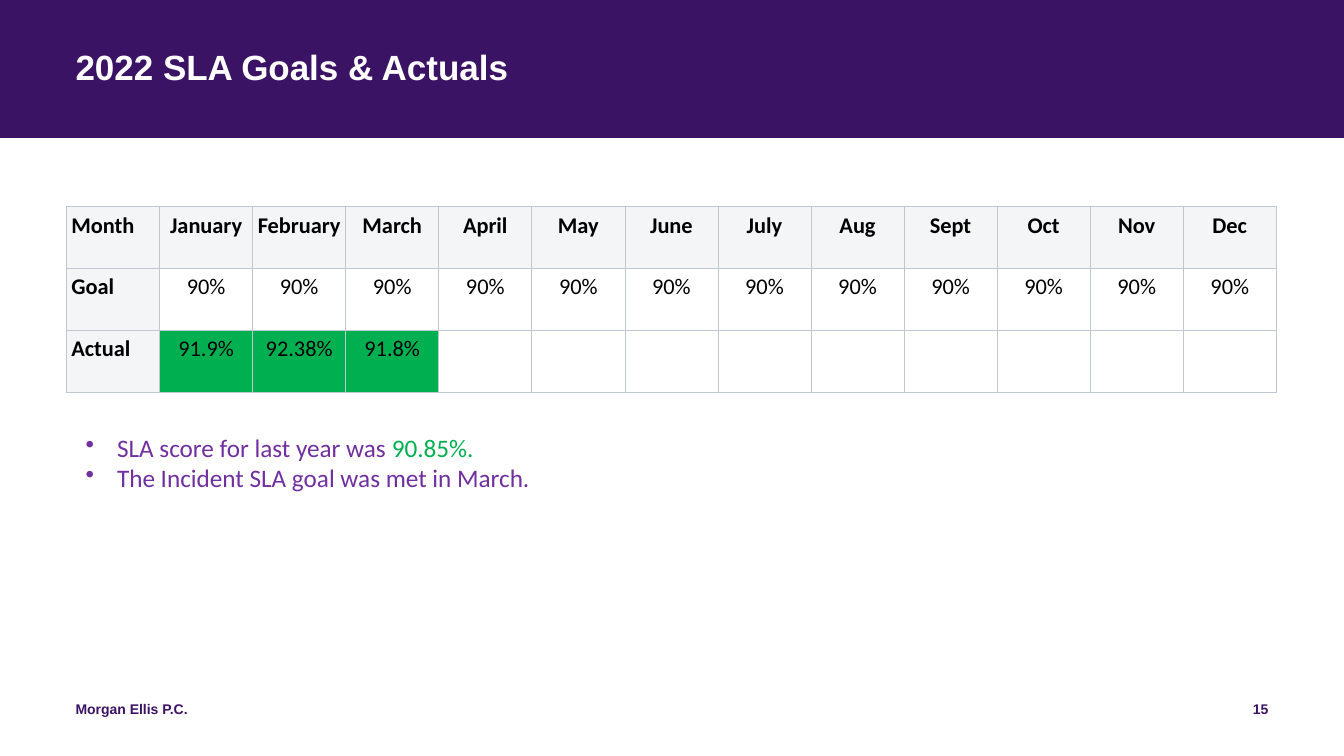
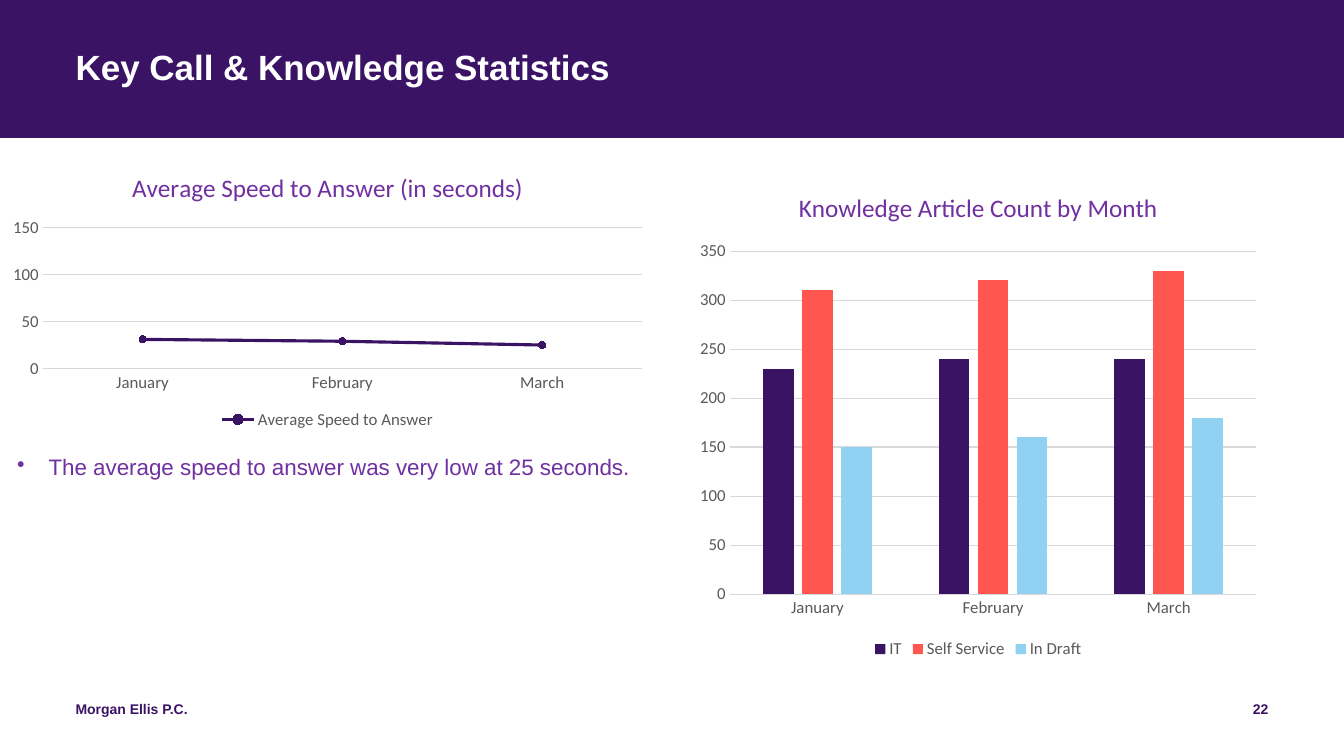
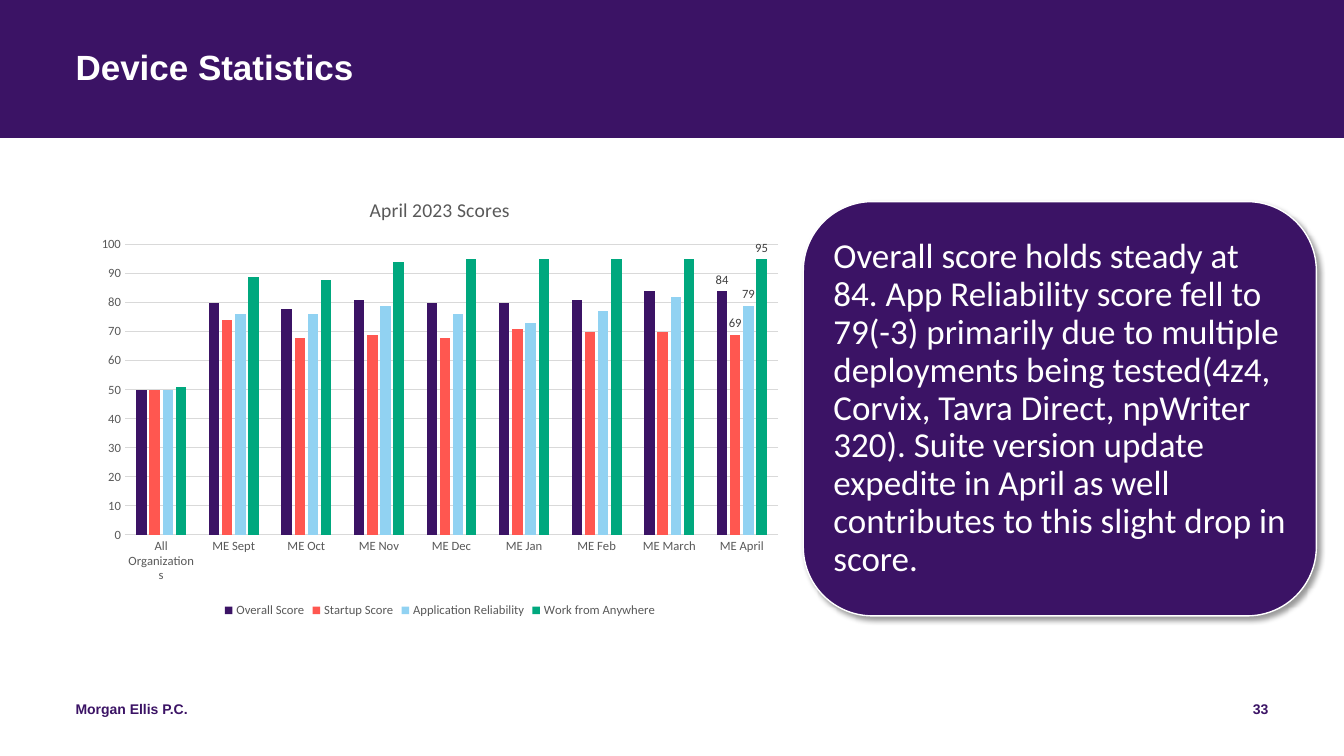
from dataclasses import dataclass
from typing import Any

from lxml.etree import SubElement
from pptx import Presentation
from pptx.chart.data import CategoryChartData
from pptx.dml.color import RGBColor as RGB
from pptx.enum.chart import XL_CHART_TYPE as CT, XL_LABEL_POSITION as LP
from pptx.enum.chart import XL_LEGEND_POSITION as LEG, XL_MARKER_STYLE as MK, XL_TICK_MARK as TM
from pptx.enum.shapes import MSO_SHAPE as SHAPE
from pptx.enum.text import MSO_ANCHOR as ANCHOR, MSO_AUTO_SIZE as FIT, PP_ALIGN as AL
from pptx.oxml.ns import qn
from pptx.util import Pt


@dataclass(frozen=True)
class Theme:
    purple: str = "3B1365"
    violet: str = "7030A0"
    green: str = "00B050"
    coral: str = "FF5750"
    sky: str = "91D2F2"
    teal: str = "00A87E"
    white: str = "FFFFFF"
    black: str = "000000"
    gray: str = "595959"
    label: str = "404040"
    grid: str = "D9D9D9"
    header: str = "F4F5F7"
    border: str = "C1C7D0"
    head_font: str = "Arial"
    body_font: str = "Calibri"
    title: float = 25
    body: float = 18
    cell: float = 16
    footer: float = 10


T = Theme()


@dataclass(frozen=True)
class Box:
    x: float
    y: float
    w: float
    h: float

    def pts(self) -> tuple:
        return Pt(self.x), Pt(self.y), Pt(self.w), Pt(self.h)


@dataclass(frozen=True)
class Series:
    name: str
    vals: tuple
    color: str


@dataclass(frozen=True)
class ChartSpec:
    box: Box
    kind: Any
    title: str
    title_size: float
    title_color: str
    text_size: float
    cats: tuple
    series: tuple
    top: float
    step: float
    label_last: bool = False


PAGE_W, PAGE_H = 960, 540
BAND = Box(0, 0, PAGE_W, 98.6)
TITLE = Box(54, 36, 852, 58.3)
OWNER = Box(54, 500.4, 324, 28.8)
NUMBER = Box(690, 500.4, 216, 28.8)


def set_all(obj: Any, values: dict) -> None:
    for name, value in values.items():
        setattr(obj, name, value)


def style_font(font: Any, size: float, color: str, name: str = T.body_font, bold: bool = False) -> None:
    set_all(font, {"size": Pt(size), "name": name, "bold": bold})
    font.color.rgb = RGB.from_string(color)


def add_run(p: Any, text: str, size: float, color: str, name: str = T.body_font, bold: bool = False) -> None:
    r = p.add_run()
    r.text = text
    style_font(r.font, size, color, name, bold)


def paint(fill: Any, color: str) -> None:
    fill.solid()
    fill.fore_color.rgb = RGB.from_string(color)


def set_frame(tf: Any, inset_x: float = 0, inset_y: float = 0, anchor: Any = ANCHOR.TOP) -> None:
    set_all(tf, {
        "word_wrap": True, "auto_size": FIT.NONE, "vertical_anchor": anchor,
        "margin_left": Pt(inset_x), "margin_right": Pt(inset_x),
        "margin_top": Pt(inset_y), "margin_bottom": Pt(inset_y),
    })


def add_text(sld: Any, box: Box, inset_x: float = 0, inset_y: float = 0) -> Any:
    tf = sld.shapes.add_textbox(*box.pts()).text_frame
    set_frame(tf, inset_x, inset_y)
    return tf


def set_bullet(p: Any) -> None:
    pPr = p._p.get_or_add_pPr()
    pPr.set("marL", str(Pt(22.5)))
    pPr.set("indent", str(Pt(-22.5)))
    SubElement(pPr, qn("a:buChar")).set("char", "•")


def add_slide(prs: Any, title: str, number: int) -> Any:
    sld = prs.slides.add_slide(prs.slide_layouts[5])
    sp = sld.shapes.title
    set_all(sp, dict(zip(("left", "top", "width", "height"), TITLE.pts())))
    set_frame(sp.text_frame)
    p = sp.text_frame.paragraphs[0]
    set_all(p, {"alignment": AL.LEFT, "line_spacing": 0.9})
    add_run(p, title, T.title, T.white, T.head_font, True)
    for box, text, align in ((OWNER, "Morgan Ellis P.C.", AL.LEFT), (NUMBER, str(number), AL.RIGHT)):
        p = add_text(sld, box).paragraphs[0]
        p.alignment = align
        add_run(p, text, T.footer, T.purple, T.head_font, True)
    return sld


def add_layout_band(sld: Any) -> None:
    sp = sld.shapes.add_shape(SHAPE.RECTANGLE, *BAND.pts())
    sp.shadow.inherit = False
    paint(sp.fill, T.purple)
    sp.line.fill.background()
    sld.slide_layout.shapes.element.insert(2, sp.element)


def set_borders(cell: Any) -> None:
    tcPr = cell._tc.get_or_add_tcPr()
    for i, side in enumerate(("lnL", "lnR", "lnT", "lnB")):
        ln = tcPr.makeelement(qn(f"a:{side}"), {"w": str(Pt(0.5))})
        fill = SubElement(ln, qn("a:solidFill"))
        SubElement(fill, qn("a:srgbClr")).set("val", T.border)
        tcPr.insert(i, ln)


def add_sla_table(sld: Any, rows: tuple) -> None:
    n_cols = len(rows[0])
    box = Box(47.5, 147.6, 66.5 * n_cols, 44.2 * len(rows))
    tbl = sld.shapes.add_table(len(rows), n_cols, *box.pts()).table
    set_all(tbl, {"first_row": False, "horz_banding": False})
    for col in tbl.columns:
        col.width = Pt(66.5)
    for i, row in enumerate(rows):
        tbl.rows[i].height = Pt(44.2)
        for j, text in enumerate(row):
            cell = tbl.cell(i, j)
            head = i == 0 or j == 0
            met = i == 2 and text
            paint(cell.fill, T.header if head else T.green if met else T.white)
            set_all(cell, {"margin_left": Pt(3.5), "margin_right": Pt(3.5),
                           "margin_top": Pt(3.6), "margin_bottom": Pt(3.6)})
            set_borders(cell)
            if text:
                p = cell.text_frame.paragraphs[0]
                p.alignment = AL.CENTER if j else AL.LEFT
                add_run(p, text, T.cell, T.black, bold=head)


def style_axes(chart: Any, spec: ChartSpec) -> None:
    cat, val = chart.category_axis, chart.value_axis
    for axis in (cat, val):
        set_all(axis, {"major_tick_mark": TM.NONE, "minor_tick_mark": TM.NONE})
        style_font(axis.tick_labels.font, spec.text_size, T.gray)
    set_all(val, {"minimum_scale": 0, "maximum_scale": spec.top,
                  "major_unit": spec.step, "has_major_gridlines": True})
    val.format.line.fill.background()
    for line in (cat.format.line, val.major_gridlines.format.line):
        paint(line.fill, T.grid)
        line.width = Pt(0.75)


def style_series(ser: Any, item: Series, spec: ChartSpec) -> None:
    if spec.kind == CT.LINE_MARKERS:
        ser.smooth = False
        paint(ser.format.line.fill, item.color)
        ser.format.line.width = Pt(2.25)
        set_all(ser.marker, {"style": MK.CIRCLE, "size": 5})
        paint(ser.marker.format.fill, item.color)
        paint(ser.marker.format.line.fill, item.color)
    else:
        ser.invert_if_negative = False
        paint(ser.format.fill, item.color)
    if spec.label_last:
        label = ser.points[len(item.vals) - 1].data_label
        style_font(label.font, spec.text_size, T.label)
        label.position = LP.OUTSIDE_END


def add_chart(sld: Any, spec: ChartSpec) -> None:
    data = CategoryChartData()
    data.categories = spec.cats
    for item in spec.series:
        data.add_series(item.name, item.vals)
    chart = sld.shapes.add_chart(spec.kind, *spec.box.pts(), data).chart
    style_font(chart.font, 10, T.black)
    set_all(chart, {"has_title": True, "has_legend": True})
    p = chart.chart_title.text_frame.paragraphs[0]
    add_run(p, spec.title, spec.title_size, spec.title_color)
    set_all(chart.legend, {"position": LEG.BOTTOM, "include_in_layout": False})
    style_font(chart.legend.font, spec.text_size, T.gray)
    style_axes(chart, spec)
    plot = chart.plots[0]
    plot.vary_by_categories = False
    if spec.kind == CT.COLUMN_CLUSTERED:
        set_all(plot, {"gap_width": 219, "overlap": -27})
    for ser, item in zip(plot.series, spec.series):
        style_series(ser, item, spec)


def add_callout(sld: Any, box: Box, text: str) -> None:
    sp = sld.shapes.add_shape(SHAPE.ROUNDED_RECTANGLE, *box.pts())
    sp.shadow.inherit = False
    paint(sp.fill, T.purple)
    paint(sp.line.fill, T.white)
    sp.line.width = Pt(1)
    effects = sp._element.spPr.find(qn("a:effectLst"))
    shadow = SubElement(effects, qn("a:outerShdw"), {
        "blurRad": str(Pt(4)), "dist": str(Pt(3)), "dir": str(45 * 60000),
        "algn": "tl", "rotWithShape": "0"})
    color = SubElement(shadow, qn("a:srgbClr"), {"val": T.black})
    SubElement(color, qn("a:alpha"), {"val": "40000"})
    set_frame(sp.text_frame, 7.2, 7.2, ANCHOR.MIDDLE)
    p = sp.text_frame.paragraphs[0]
    set_all(p, {"alignment": AL.LEFT, "line_spacing": 0.9})
    add_run(p, text, T.title, T.white)


def build_sla(prs: Any) -> None:
    sld = add_slide(prs, "2022 SLA Goals & Actuals", 15)
    add_layout_band(sld)
    months = ("January", "February", "March", "April", "May", "June",
              "July", "Aug", "Sept", "Oct", "Nov", "Dec")
    actuals = ("91.9%", "92.38%", "91.8%")
    add_sla_table(sld, (
        ("Month", *months),
        ("Goal", *("90%",) * len(months)),
        ("Actual", *actuals, *("",) * (len(months) - len(actuals))),
    ))
    tf = add_text(sld, Box(54, 305.3, 852, 51), 7.2, 3.6)
    notes = (
        (("SLA score for last year was ", T.violet), ("90.85%.", T.green)),
        (("The Incident SLA goal was met in March.", T.violet),),
    )
    for i, parts in enumerate(notes):
        p = tf.add_paragraph() if i else tf.paragraphs[0]
        set_bullet(p)
        for text, color in parts:
            add_run(p, text, T.body, color)


def build_calls(prs: Any) -> None:
    sld = add_slide(prs, "Key Call & Knowledge Statistics", 22)
    p = add_text(sld, Box(12.2, 326.2, 468, 43.2)).paragraphs[0]
    p.line_spacing = 0.9
    set_bullet(p)
    add_run(p, "The average speed to answer was very low at 25 seconds.", T.cell, T.violet, T.head_font)
    months = ("January", "February", "March")
    add_chart(sld, ChartSpec(
        Box(0, 110.9, 468, 198.7), CT.LINE_MARKERS, "Average Speed to Answer (in seconds)",
        T.body, T.violet, 12, months,
        (Series("Average Speed to Answer", (31, 29, 25), T.purple),), 150, 50))
    add_chart(sld, ChartSpec(
        Box(491.8, 121.7, 414, 352), CT.COLUMN_CLUSTERED, "Knowledge Article Count by Month",
        T.body, T.violet, 12, months,
        (Series("IT", (230, 240, 240), T.purple),
         Series("Self Service", (310, 320, 330), T.coral),
         Series("In Draft", (150, 160, 180), T.sky)), 350, 50))


def build_endpoints(prs: Any) -> None:
    sld = add_slide(prs, "Device Statistics", 33)
    months = ("Sept", "Oct", "Nov", "Dec", "Jan", "Feb", "March", "April")
    add_chart(sld, ChartSpec(
        Box(62.6, 127.4, 503.3, 316.8), CT.COLUMN_CLUSTERED, "April 2023 Scores",
        14, T.gray, 9, ("All Organizations", *(f"ME {m}" for m in months)),
        (Series("Overall Score", (50, 80, 78, 81, 80, 80, 81, 84, 84), T.purple),
         Series("Startup Score", (50, 74, 68, 69, 68, 71, 70, 70, 69), T.coral),
         Series("Application Reliability", (50, 76, 76, 79, 76, 73, 77, 82, 79), T.sky),
         Series("Work from Anywhere", (51, 89, 88, 94, 95, 95, 95, 95, 95), T.teal)),
        100, 10, True))
    add_callout(sld, Box(573.8, 144, 366.5, 295.9), (
        "Overall score holds steady at 84. App Reliability score fell to 79(-3) primarily "
        "due to multiple deployments being tested(4z4, Corvix, Tavra Direct, npWriter 320). "
        "Suite version update expedite in April as well contributes to this slight drop in score."))


def main() -> None:
    prs = Presentation()
    set_all(prs, {"slide_width": Pt(PAGE_W), "slide_height": Pt(PAGE_H)})
    for build in (build_sla, build_calls, build_endpoints):
        build(prs)
    prs.save("out.pptx")


if __name__ == "__main__":
    main()
